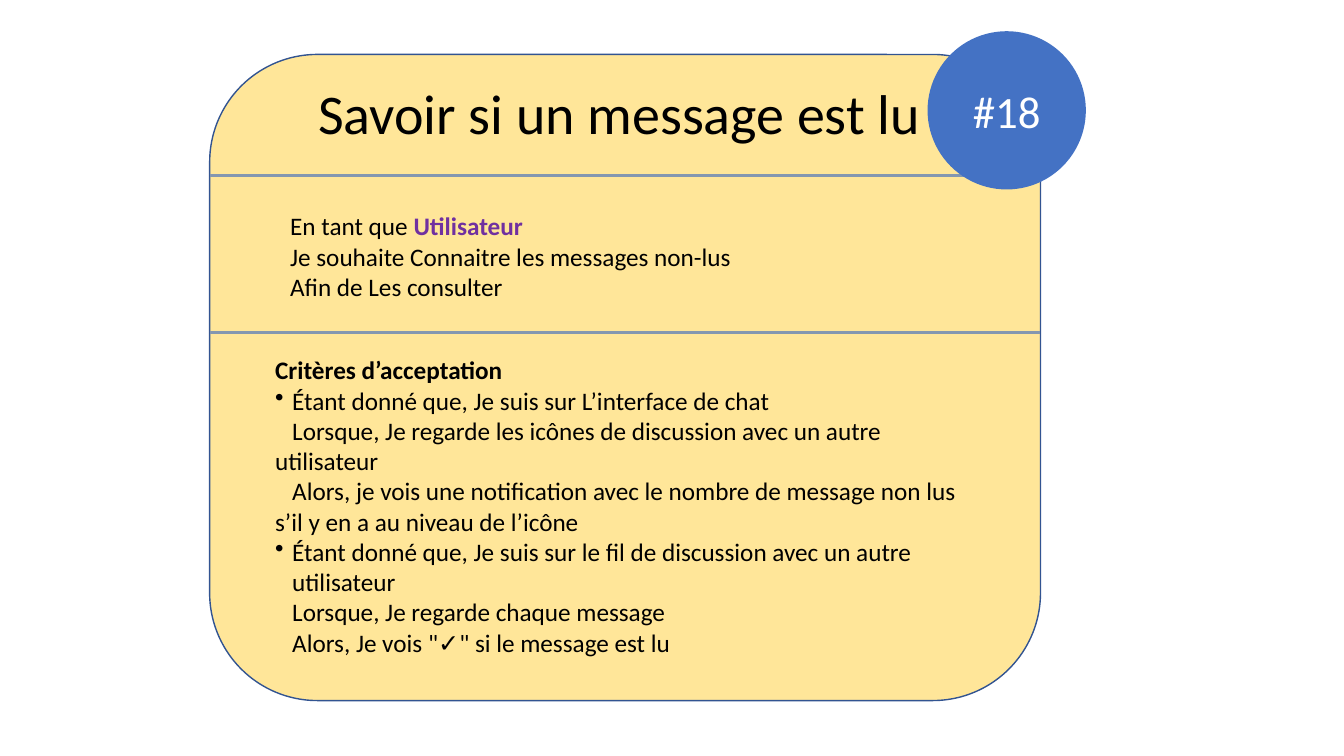
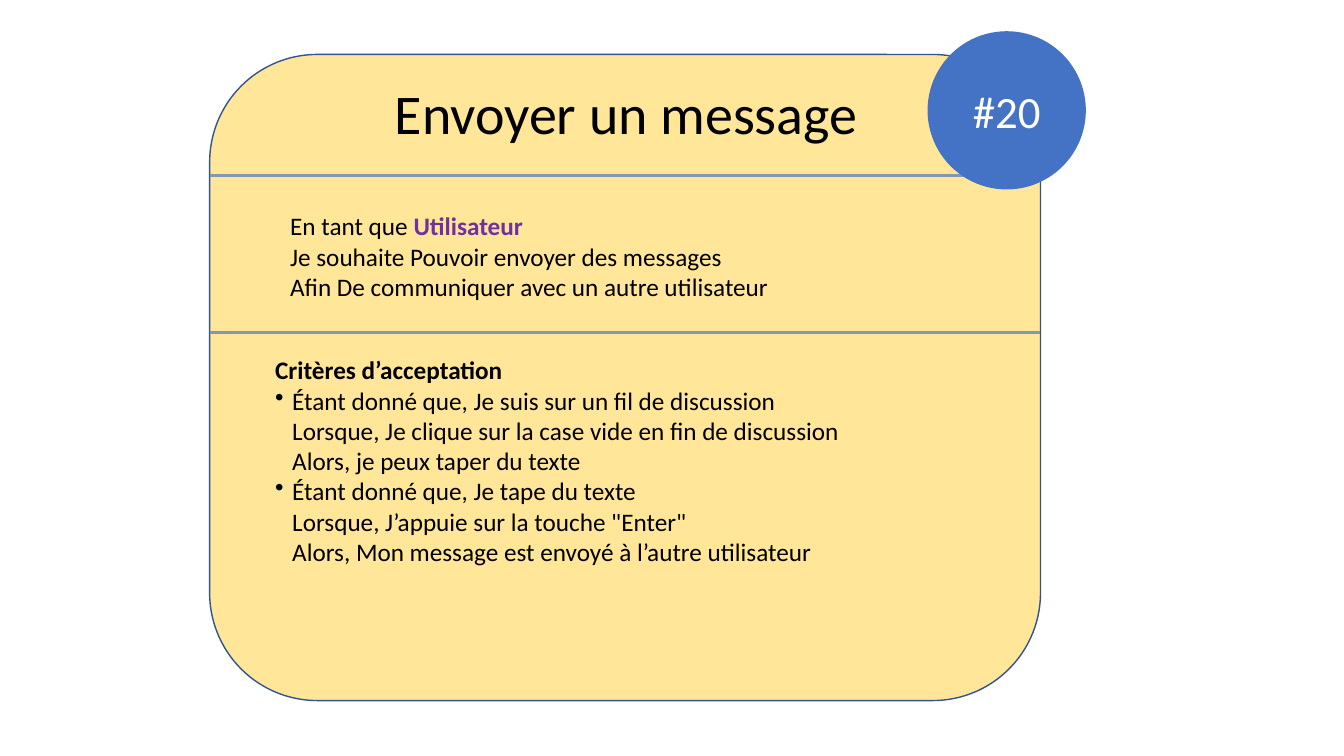
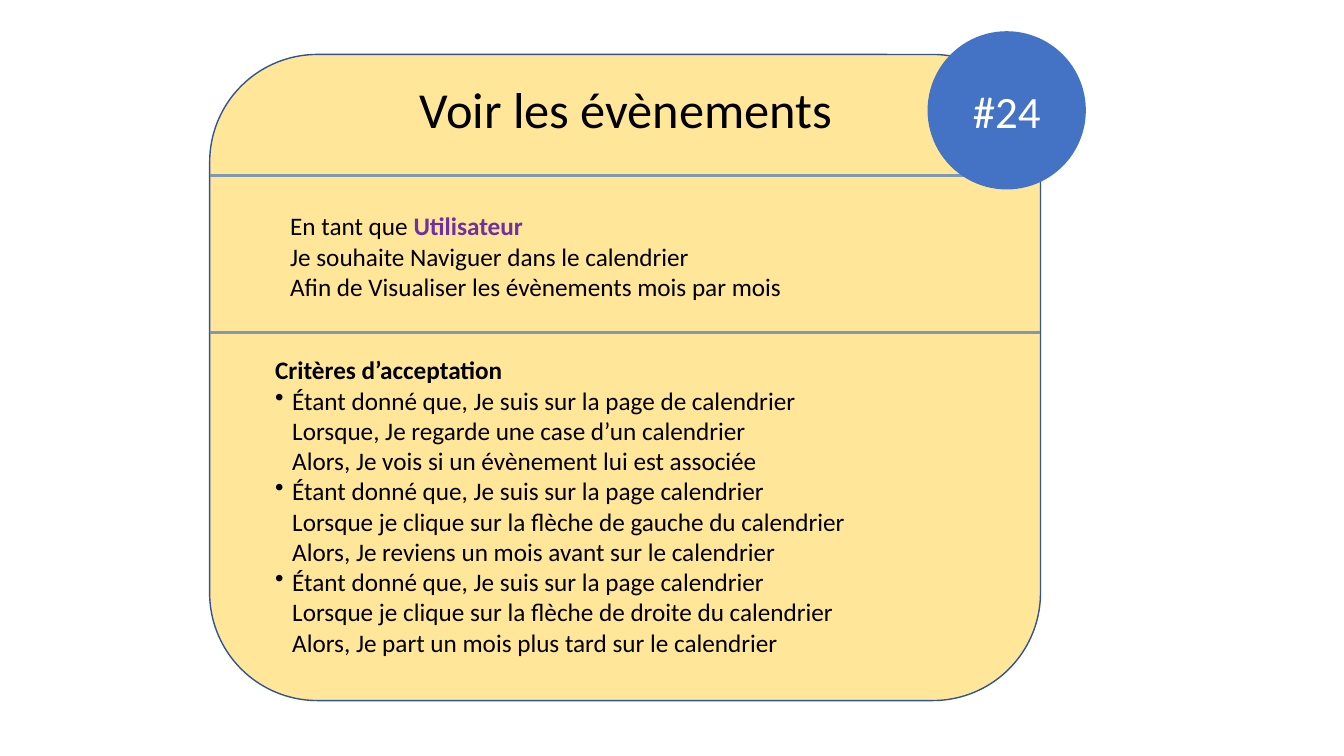
from dataclasses import dataclass

from lxml.etree import SubElement
from pptx import Presentation
from pptx.dml.color import RGBColor as Rgb
from pptx.enum.shapes import MSO_CONNECTOR as Connector, MSO_SHAPE as Preset
from pptx.enum.text import MSO_ANCHOR as Anchor, MSO_AUTO_SIZE as AutoSize, PP_ALIGN as Align
from pptx.oxml.ns import qn
from pptx.util import Inches, Pt


@dataclass(frozen=True)
class Theme:
    font: str = "Calibri"
    paper: Rgb = Rgb.from_string("FFE699")
    edge: Rgb = Rgb.from_string("325491")
    rule: Rgb = Rgb.from_string("8497B0")
    badge: Rgb = Rgb.from_string("4472C4")
    ink: Rgb = Rgb.from_string("000000")
    on_badge: Rgb = Rgb.from_string("FFFFFF")
    role: Rgb = Rgb.from_string("7030A0")
    title_size: int = 40
    badge_size: int = 32
    body_size: int = 18


@dataclass(frozen=True)
class Story:
    number: int
    title: str
    wish: str
    goal: str
    criteria: tuple
    title_size: int = Theme.title_size
    title_center: float = 6.21


CARD_LEFT, CARD_TOP, CARD_WIDTH, CARD_HEIGHT = 2.08, 0.54, 8.24, 6.41
RULE_TOPS = (1.74, 3.3)
TITLE_TOP, TITLE_WIDTH = 0.73, 7.5
STEP_INDENT = Inches(0.17)
LINE_HEIGHT = 0.3


class StoryDeck:
    """Draws user story cards, one per slide, in a single theme."""

    def __init__(self, theme):
        self.theme = theme
        self.deck = Presentation()
        self.deck.slide_width, self.deck.slide_height = Inches(13.33), Inches(7.5)
        self.slide = None

    def shape(self, preset, left, top, width, height, fill, edge=None):
        panel = self.slide.shapes.add_shape(
            preset, Inches(left), Inches(top), Inches(width), Inches(height))
        panel.shadow.inherit = False
        panel.fill.solid()
        panel.fill.fore_color.rgb = fill
        if edge is None:
            panel.line.fill.background()
        else:
            panel.line.color.rgb = edge
            panel.line.width = Pt(1)
        return panel

    def rule(self, top):
        divider = self.slide.shapes.add_connector(
            Connector.STRAIGHT, Inches(CARD_LEFT), Inches(top),
            Inches(CARD_LEFT + CARD_WIDTH), Inches(top))
        divider.line.color.rgb = self.theme.rule
        divider.line.width = Pt(2.25)
        SubElement(divider._element.spPr, qn("a:effectLst"))

    def style(self, paragraph, size, color, align=Align.LEFT, bold=False):
        paragraph.alignment = align
        font = paragraph.font
        font.name, font.size, font.bold = self.theme.font, Pt(size), bold
        font.color.rgb = color

    def text(self, left, top, width, height, lines, size, align=Align.LEFT):
        box = self.slide.shapes.add_textbox(
            Inches(left), Inches(top), Inches(width), Inches(height))
        frame = box.text_frame
        frame.word_wrap = True
        frame.auto_size = AutoSize.SHAPE_TO_FIT_TEXT
        frame.text = "\n".join(lines)
        for paragraph in frame.paragraphs:
            self.style(paragraph, size, self.theme.ink, align)
        return frame.paragraphs

    def title(self, story):
        self.text(story.title_center - TITLE_WIDTH / 2, TITLE_TOP, TITLE_WIDTH,
                  0.1 + story.title_size / 60, [story.title], story.title_size, Align.CENTER)

    def badge(self, number):
        frame = self.shape(Preset.OVAL, 9.2, 0.31, 1.57, 1.57, self.theme.badge).text_frame
        frame.vertical_anchor = Anchor.MIDDLE
        frame.text = f"#{number}"
        self.style(frame.paragraphs[0], self.theme.badge_size, self.theme.on_badge, Align.CENTER)

    def need(self, story):
        opening, *_ = self.text(2.78, 2.04, 6.87, 1.01,
                                ["En tant que ", story.wish, story.goal], self.theme.body_size)
        role = opening.add_run()
        role.text = "Utilisateur"
        role.font.bold = True
        role.font.color.rgb = self.theme.role

    def criteria(self, scenarios):
        steps = [step for scenario in scenarios for step in scenario]
        heading, *items = self.text(
            2.63, 3.47, 7.01, 0.1 + LINE_HEIGHT * (len(steps) + 1),
            ["Critères d’acceptation", *steps], self.theme.body_size)
        heading.font.bold = True
        openings = {scenario[0] for scenario in scenarios}
        for item in items:
            self.indent(item, bulleted=item.text in openings)

    def indent(self, paragraph, bulleted):
        props = paragraph._p.get_or_add_pPr()
        props.set("marL", str(STEP_INDENT if bulleted else 0))
        props.set("indent", str(-STEP_INDENT if bulleted else STEP_INDENT))
        if bulleted:
            bullet = props.makeelement(qn("a:buChar"), {"char": "•"})
            props.insert_element_before(bullet, "a:tabLst", "a:defRPr", "a:extLst")

    def card(self, story):
        self.slide = self.deck.slides.add_slide(self.deck.slide_layouts[6])
        self.shape(Preset.ROUNDED_RECTANGLE, CARD_LEFT, CARD_TOP, CARD_WIDTH, CARD_HEIGHT,
                   self.theme.paper, self.theme.edge)
        self.title(story)
        for top in RULE_TOPS:
            self.rule(top)
        self.need(story)
        self.criteria(story.criteria)
        self.badge(story.number)


STORIES = (
    Story(
        18, "Savoir si un message est lu",
        "Je souhaite Connaitre les messages non-lus", "Afin de Les consulter",
        (("Étant donné que, Je suis sur L’interface de chat",
          "Lorsque, Je regarde les icônes de discussion avec un autre utilisateur",
          "Alors, je vois une notification avec le nombre de message non lus "
          "s’il y en a au niveau de l’icône"),
         ("Étant donné que, Je suis sur le fil de discussion avec un autre utilisateur",
          "Lorsque, Je regarde chaque message",
          "Alors, Je vois \"✓\" si le message est lu")),
        title_center=6.14),
    Story(
        20, "Envoyer un message",
        "Je souhaite Pouvoir envoyer des messages",
        "Afin De communiquer avec un autre utilisateur",
        (("Étant donné que, Je suis sur un fil de discussion",
          "Lorsque, Je clique sur la case vide en fin de discussion",
          "Alors, je peux taper du texte"),
         ("Étant donné que, Je tape du texte",
          "Lorsque, J’appuie sur la touche \"Enter\"",
          "Alors, Mon message est envoyé à l’autre utilisateur"))),
    Story(
        24, "Voir les évènements",
        "Je souhaite Naviguer dans le calendrier",
        "Afin de Visualiser les évènements mois par mois",
        (("Étant donné que, Je suis sur la page de calendrier",
          "Lorsque, Je regarde une case d’un calendrier",
          "Alors, Je vois si un évènement lui est associée"),
         ("Étant donné que, Je suis sur la page calendrier",
          "Lorsque je clique sur la flèche de gauche du calendrier",
          "Alors, Je reviens un mois avant sur le calendrier"),
         ("Étant donné que, Je suis sur la page calendrier",
          "Lorsque je clique sur la flèche de droite du calendrier",
          "Alors, Je part un mois plus tard sur le calendrier")),
        title_size=36),
)

stories = StoryDeck(Theme())
for story in STORIES:
    stories.card(story)
stories.deck.save("out.pptx")
